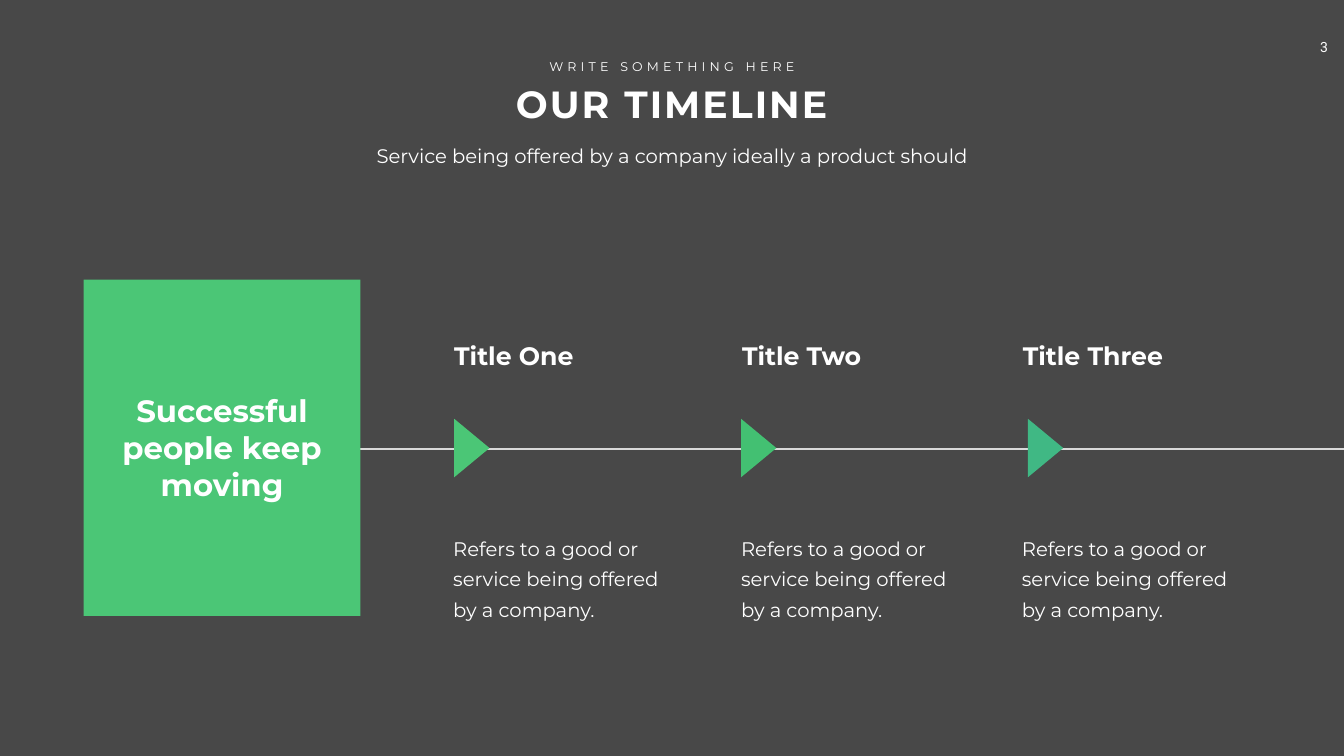
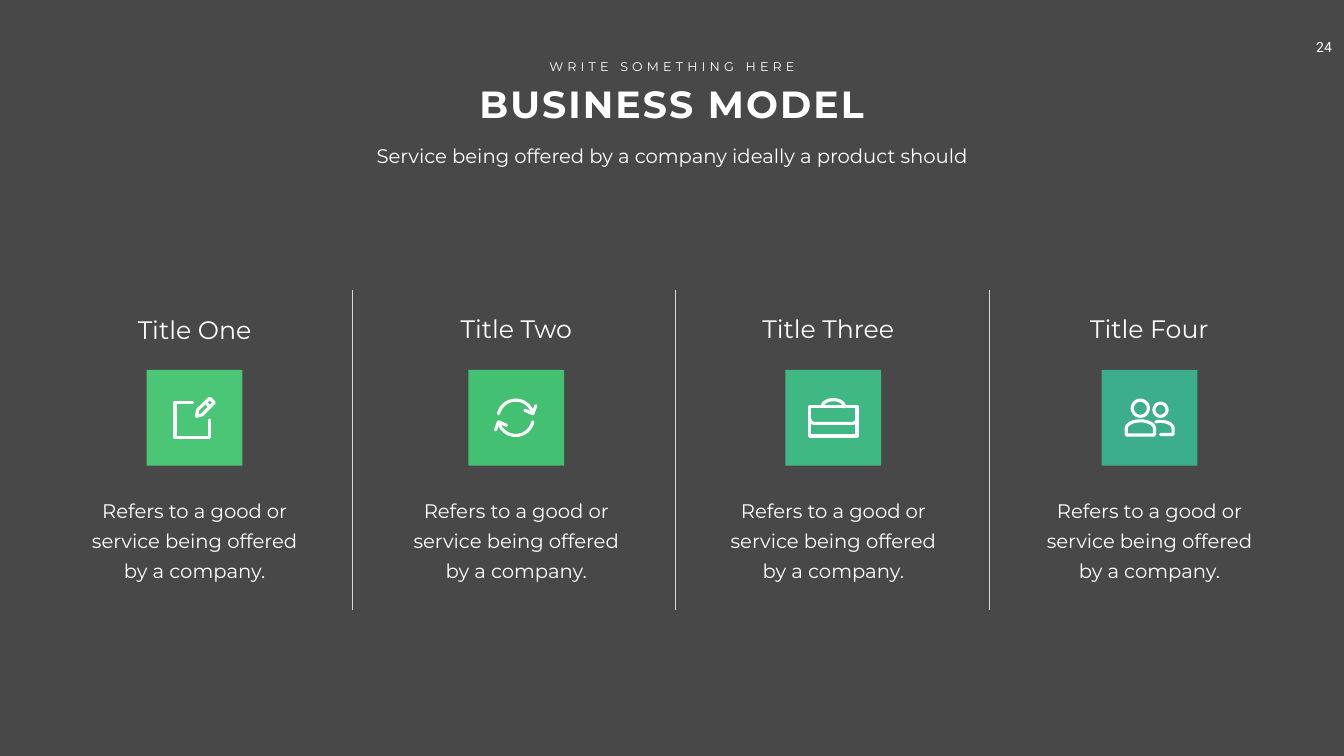
from dataclasses import dataclass
from math import cos, radians, sin

from lxml import etree
from pptx import Presentation
from pptx.dml.color import RGBColor
from pptx.enum.shapes import MSO_CONNECTOR, MSO_SHAPE
from pptx.enum.text import MSO_AUTO_SIZE, PP_ALIGN
from pptx.oxml.ns import qn
from pptx.util import Inches, Pt

LEFT, CENTER = PP_ALIGN.LEFT, PP_ALIGN.CENTER
GROW = MSO_AUTO_SIZE.SHAPE_TO_FIT_TEXT
STRAIGHT = MSO_CONNECTOR.STRAIGHT
RECTANGLE, TRIANGLE = MSO_SHAPE.RECTANGLE, MSO_SHAPE.ISOSCELES_TRIANGLE

SLIDE_WIDTH, SLIDE_HEIGHT = 26.66, 15
BACKGROUND, WHITE, RULE = "484848", "FFFFFF", "D9D9D9"
GREENS = ["4BC676", "43C072", "40B884", "3CAE8C"]
HEADING_FONT, NUMBER_FONT = "Montserrat", "Roboto"
NARROW_INSETS, WIDE_INSETS = (0.1, 0.05), (0.24, 0.12)
BODY_TEXT = "Refers to a good or service being offered by a company."
TILE_SIZE = 1.9
ICON_STROKE = 4.5

Point = tuple[float, float]


@dataclass
class Stroke:
    points: list[Point]
    closed: bool = False


@dataclass
class Milestone:
    title: str
    body_left: float


@dataclass
class ModelColumn:
    title: str
    center: float
    title_center: float
    title_top: float
    icon: list[Stroke]


def rgb(color: str) -> RGBColor:
    return RGBColor.from_string(color)


def arc(x: float, y: float, radius_x: float, radius_y: float,
        start: float, end: float, steps: int = 24) -> list[Point]:
    """Points along an ellipse, with angles in degrees running clockwise."""
    angles = [radians(start + (end - start) * i / steps) for i in range(steps + 1)]
    return [(x + radius_x * cos(a), y + radius_y * sin(a)) for a in angles]


def ring(x: float, y: float, radius: float) -> Stroke:
    return Stroke(arc(x, y, radius, radius, 0, 360)[:-1], closed=True)


# Icon points are inches from the top left corner of their tile.
EDIT_ICON = [
    Stroke([(1.25, 0.99), (1.25, 1.34), (0.56, 1.34), (0.56, 0.64), (0.91, 0.64)]),
    Stroke([(1.25, 0.56), (1.34, 0.65), (1.1, 0.89), (0.99, 0.92), (1.01, 0.79)], True),
    Stroke([(1.18, 0.66), (1.24, 0.72)]),
]
REFRESH_ICON = [
    Stroke(arc(0.94, 0.95, 0.35, 0.35, 193, 342)),
    Stroke([(1.12, 0.8), (1.28, 0.87), (1.34, 0.71)]),
    Stroke(arc(0.94, 0.95, 0.35, 0.35, 13, 162)),
    Stroke([(0.76, 1.1), (0.6, 1.03), (0.54, 1.19)]),
]
BRIEFCASE_ICON = [
    Stroke([(0.48, 0.73), (1.42, 0.73), (1.42, 1.31), (0.48, 1.31)], True),
    Stroke([(0.48, 0.97), (0.5, 1.03), (0.56, 1.06),
            (1.34, 1.06), (1.4, 1.03), (1.42, 0.97)]),
    Stroke(arc(0.95, 0.73, 0.22, 0.14, 180, 360)),
]
PEOPLE_ICON = [
    ring(0.77, 0.76, 0.16),
    Stroke([(0.49, 1.29), *arc(0.77, 1.16, 0.28, 0.15, 180, 360), (1.05, 1.29)], True),
    ring(1.17, 0.79, 0.13),
    Stroke([*arc(1.17, 1.16, 0.25, 0.14, 248, 360), (1.42, 1.28), (1.17, 1.28)]),
]

MILESTONES = [
    Milestone("Title One", 8.75),
    Milestone("Title Two", 14.46),
    Milestone("Title Three", 20.03),
]
MODEL_COLUMNS = [
    ModelColumn("Title One", 3.86, 3.86, 6.19, EDIT_ICON),
    ModelColumn("Title Two", 10.24, 10.24, 6.16, REFRESH_ICON),
    ModelColumn("Title Three", 16.53, 16.43, 6.16, BRIEFCASE_ICON),
    ModelColumn("Title Four", 22.8, 22.8, 6.16, PEOPLE_ICON),
]


def add_text(slide, text: str, left: float, top: float, width: float, height: float, *,
             size: float, font: str = HEADING_FONT, bold: bool = False,
             align=CENTER, spacing: float = 0, line_points: float | None = None,
             insets: tuple[float, float] = NARROW_INSETS, wrap: bool = True):
    box = slide.shapes.add_textbox(Inches(left), Inches(top), Inches(width), Inches(height))
    frame = box.text_frame
    frame.word_wrap = wrap
    frame.auto_size = GROW
    frame.margin_left = frame.margin_right = Inches(insets[0])
    frame.margin_top = frame.margin_bottom = Inches(insets[1])
    paragraph = frame.paragraphs[0]
    paragraph.alignment = align
    if line_points:
        paragraph.line_spacing = Pt(line_points)
    run = paragraph.add_run()
    run.text = text
    run.font.name = font
    run.font.size = Pt(size)
    run.font.bold = bold
    run.font.color.rgb = rgb(WHITE)
    if spacing:
        run.font._element.set("spc", str(round(spacing * 100)))
    return box


def add_body(slide, text: str, left: float, top: float, width: float,
             height: float = 2, align=CENTER) -> None:
    add_text(slide, text, left, top, width, height, size=28, align=align,
             line_points=43, insets=WIDE_INSETS)


def add_filled_shape(slide, kind, left: float, top: float, width: float,
                     height: float, color: str, rotation: float = 0) -> None:
    shape = slide.shapes.add_shape(kind, Inches(left), Inches(top),
                                   Inches(width), Inches(height))
    shape.shadow.inherit = False
    shape.fill.solid()
    shape.fill.fore_color.rgb = rgb(color)
    shape.line.fill.background()
    shape.rotation = rotation


def add_rule(slide, start: Point, end: Point, points: float) -> None:
    rule = slide.shapes.add_connector(STRAIGHT, *(Inches(n) for n in (*start, *end)))
    rule.line.color.rgb = rgb(RULE)
    rule.line.width = Pt(points)
    etree.SubElement(rule._element.spPr, qn("a:effectLst"))


def add_icon(slide, strokes: list[Stroke], left: float, top: float) -> None:
    """Draw all strokes of an icon as one outline with round ends and corners."""
    builder = None
    for stroke in strokes:
        points = [(Inches(left + x), Inches(top + y)) for x, y in stroke.points]
        if builder is None:
            builder = slide.shapes.build_freeform(*points[0])
        else:
            builder.move_to(*points[0])
        builder.add_line_segments(points[1:], close=stroke.closed)
    icon = builder.convert_to_shape()
    icon.shadow.inherit = False
    icon.fill.background()
    icon.line.color.rgb = rgb(WHITE)
    icon.line.width = Pt(ICON_STROKE)
    outline = icon._element.spPr.find(qn("a:ln"))
    outline.set("cap", "rnd")
    etree.SubElement(outline, qn("a:round"))


def add_base_slide(presentation, title: str, number: int):
    """Add a slide with the shared background, number and heading."""
    slide = presentation.slides.add_slide(presentation.slide_layouts[6])
    slide.background.fill.solid()
    slide.background.fill.fore_color.rgb = rgb(BACKGROUND)
    add_text(slide, str(number), 25.81, 0.67, 0.91, 0.54, size=20, font=NUMBER_FONT,
             insets=(0.2, 0.1), wrap=False)
    add_text(slide, title, 7.28, 1.55, 12.09, 1.01, size=54, bold=True, spacing=3)
    add_text(slide, "WRITE SOMETHING HERE", 10.74, 1.12, 5.18, 0.4, size=18,
             spacing=6, wrap=False)
    add_body(slide, "Service being offered by a company ideally a product should",
             6.76, 2.6, 13.14, 0.79)
    return slide


def add_timeline_slide(presentation) -> None:
    slide = add_base_slide(presentation, "OUR TIMELINE", 3)
    add_rule(slide, (4.96, 8.9), (SLIDE_WIDTH, 8.9), 3)
    add_filled_shape(slide, RECTANGLE, 1.66, 5.55, 5.49, 6.67, GREENS[0])
    add_text(slide, "Successful people keep moving", 2.2, 7.72, 4.41, 2.32,
             size=44, bold=True)
    for index, (milestone, color) in enumerate(zip(MILESTONES, GREENS)):
        left = milestone.body_left
        add_body(slide, BODY_TEXT, left, 10.41, 4.81, align=LEFT)
        add_text(slide, milestone.title, left + 0.16, 6.7, 3.92, 0.71,
                 size=36, bold=True, align=LEFT)
        add_filled_shape(slide, TRIANGLE, 8.78 + 5.69 * index, 8.54, 1.16, 0.7,
                         color, rotation=90)


def add_model_slide(presentation) -> None:
    slide = add_base_slide(presentation, "BUSINESS MODEL", 24)
    title_width, body_width, tile_top = 4.2, 4.89, 7.34
    for column, color in zip(MODEL_COLUMNS, GREENS):
        add_text(slide, column.title, column.title_center - title_width / 2,
                 column.title_top, title_width, 0.71, size=36)
        add_body(slide, BODY_TEXT, column.center - body_width / 2, 9.64, body_width)
        tile_left = column.center - TILE_SIZE / 2
        add_filled_shape(slide, RECTANGLE, tile_left, tile_top, TILE_SIZE, TILE_SIZE, color)
        add_icon(slide, column.icon, tile_left, tile_top)
    for x in (6.99, 13.39, 19.63):
        add_rule(slide, (x, 5.76), (x, 12.1), 0.5)


def main() -> None:
    presentation = Presentation()
    presentation.slide_width = Inches(SLIDE_WIDTH)
    presentation.slide_height = Inches(SLIDE_HEIGHT)
    add_timeline_slide(presentation)
    add_model_slide(presentation)
    presentation.save("out.pptx")


if __name__ == "__main__":
    main()
